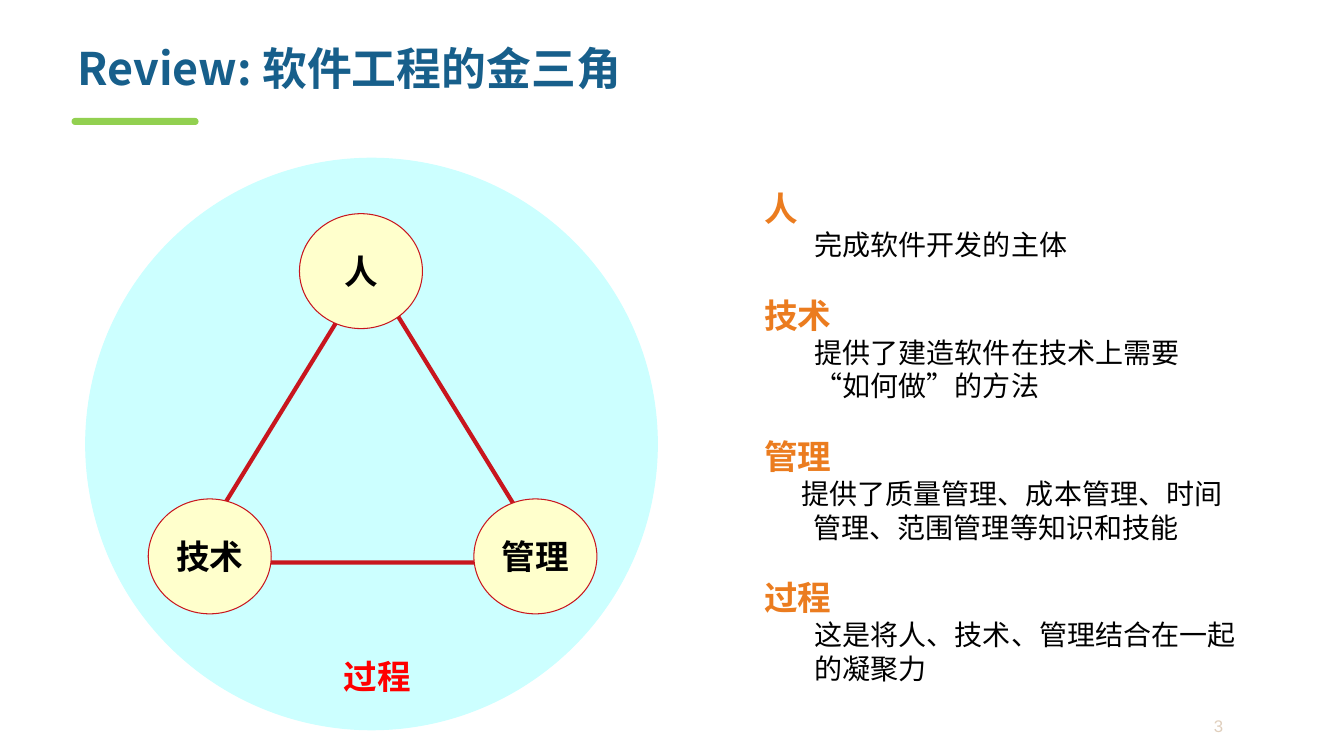
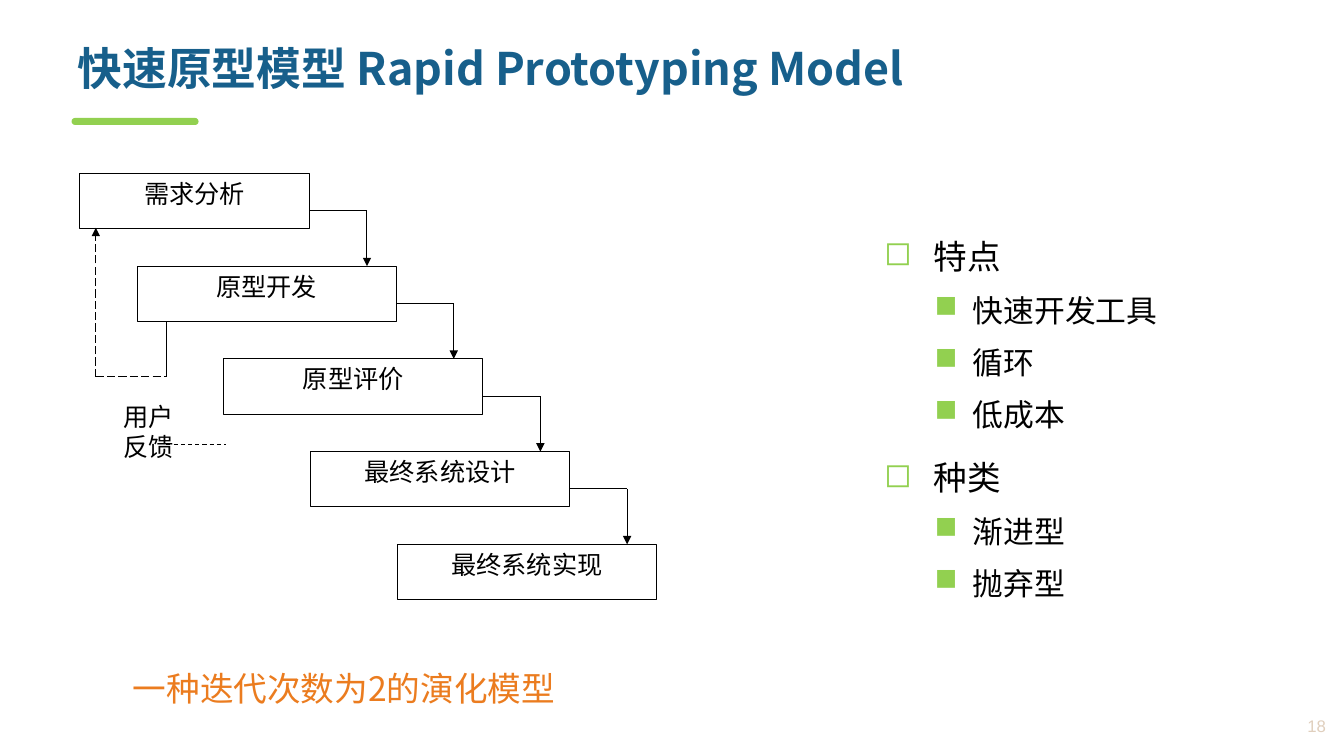
from pptx import Presentation
from pptx.dml.color import RGBColor
from pptx.enum.dml import MSO_LINE
from pptx.enum.shapes import MSO_CONNECTOR, MSO_SHAPE
from pptx.enum.text import MSO_ANCHOR, PP_ALIGN
from pptx.oxml.ns import qn
from pptx.util import Inches, Pt
from lxml import etree

BLUE = RGBColor(0x17, 0x5F, 0x8B)
GREEN = RGBColor(0x92, 0xD0, 0x50)
ORANGE = RGBColor(0xEB, 0x7C, 0x1F)
RED = RGBColor(0xC8, 0x16, 0x1E)
BRIGHT = RGBColor(0xFF, 0x00, 0x00)
CYAN = RGBColor(0xCC, 0xFF, 0xFF)
CREAM = RGBColor(0xFF, 0xFF, 0xCC)
SAND = RGBColor(0xE0, 0xCF, 0xBD)
BLACK = RGBColor(0, 0, 0)
WHITE = RGBColor(0xFF, 0xFF, 0xFF)

SANS, ARIAL, TIMES = "Noto Sans CJK SC", "Arial", "Times New Roman"
OVAL, RECT = MSO_SHAPE.OVAL, MSO_SHAPE.RECTANGLE
TRIANGLE, BAR = MSO_SHAPE.ISOSCELES_TRIANGLE, MSO_SHAPE.ROUND_2_SAME_RECTANGLE
STRAIGHT = MSO_CONNECTOR.STRAIGHT
CENTER, RIGHT = PP_ALIGN.CENTER, PP_ALIGN.RIGHT
TOP, MIDDLE = MSO_ANCHOR.TOP, MSO_ANCHOR.MIDDLE
DASH, LONG = MSO_LINE.DASH, MSO_LINE.LONG_DASH

THIN = 0.75
WIDE = (0.12, 0.06)
NORMAL = (0.1, 0.05)

HEAD = {"name": SANS, "size": Pt(24), "bold": True, "color": ORANGE}
BODY = {"name": SANS, "size": Pt(20), "color": BLACK}
NODE = {**HEAD, "color": BLACK}
STEP = {"name": TIMES, "size": Pt(18), "color": BLACK}
ITEM = {"name": ARIAL, "size": Pt(24), "color": BLACK}
TITLE = {"name": SANS, "size": Pt(32), "bold": True, "color": BLUE}
NUMBER = {"name": ARIAL, "size": Pt(12), "color": SAND}


def add(parent, tag, **attrs):
    return etree.SubElement(parent, qn(tag), attrs)


class Deck:
    """Holds the presentation, its style and the current slide."""

    def __init__(self):
        self.prs = Presentation()
        self.prs.slide_width = Inches(13.33)
        self.prs.slide_height = Inches(7.5)
        self.slide = None

    def page(self, title, number, left):
        self.slide = self.prs.slides.add_slide(self.prs.slide_layouts[6])
        bar = self.shape(BAR, (0.71, 1.17, 1.26, 0.07), GREEN)
        bar.adjustments[0] = bar.adjustments[1] = 0.5
        self.text((0.67, 0.41, 12.19, 0.75), [(title, TITLE, {"line_spacing": 0.9})])
        self.text((left, 7.01, 1.13, 0.38),
                  [(number, NUMBER, {"alignment": RIGHT})], anchor=MIDDLE)

    def shape(self, kind, box, fill=None, line=None, width=THIN):
        shape = self.slide.shapes.add_shape(kind, *map(Inches, box))
        shape.shadow.inherit = False
        if fill is None:
            shape.fill.background()
        else:
            shape.fill.solid()
            shape.fill.fore_color.rgb = fill
        if line is None:
            shape.line.fill.background()
        else:
            shape.line.color.rgb = line
            shape.line.width = Pt(width)
        return shape

    def text(self, box, paras, **frame):
        shape = self.slide.shapes.add_textbox(*map(Inches, box))
        self.label(shape, paras, **frame)

    def label(self, shape, paras, anchor=TOP, wrap=True, inset=NORMAL):
        """Fill a shape with (text, font values, paragraph values) items."""
        frame = shape.text_frame
        side, edge = map(Inches, inset)
        values = {"word_wrap": wrap, "vertical_anchor": anchor,
                  "margin_left": side, "margin_right": side,
                  "margin_top": edge, "margin_bottom": edge}
        for key, value in values.items():
            setattr(frame, key, value)
        for i, (text, font, form) in enumerate(paras):
            para = frame.add_paragraph() if i else frame.paragraphs[0]
            para.text = text
            self.form(para, **form)
            for run in para.runs:
                self.font(run, font)

    def form(self, para, left=0, first=0, bullet=None, **values):
        props = para._p.get_or_add_pPr()
        props.set("marL", str(Inches(left)))
        props.set("indent", str(Inches(first)))
        if bullet:
            add(add(props, "a:buClr"), "a:srgbClr", val=str(GREEN))
            add(props, "a:buChar", char=bullet)
        for key, value in values.items():
            setattr(para, key, value)

    def font(self, run, values):
        for key, value in values.items():
            if key == "color":
                run.font.color.rgb = value
            else:
                setattr(run.font, key, value)
        add(run._r.get_or_add_rPr(), "a:ea", typeface=SANS)

    def line(self, start, end, dash=None, arrow=False):
        line = self.slide.shapes.add_connector(
            STRAIGHT, *map(Inches, (*start, *end)))
        line.line.color.rgb = BLACK
        line.line.width = Pt(THIN)
        if dash:
            line.line.dash_style = dash
        props = line._element.spPr
        if arrow:
            add(props.find(qn("a:ln")), "a:tailEnd", type="triangle")
        add(props, "a:effectLst")


def golden(deck):
    deck.page("Review: 软件工程的金三角", "3", 11.1)
    topics = [
        ("人", "完成软件开发的主体", 0.5, 0),
        ("技术", "提供了建造软件在技术上需要\v“如何做”的方法", 0.5, 0),
        ("管理", "提供了质量管理、成本管理、时间管理、范围管理等知识和技能", 0.49, -0.12),
        ("过程", "这是将人、技术、管理结合在一起的凝聚力", 0.5, 0),
    ]
    paras = []
    for head, body, left, first in topics:
        paras.append((head, HEAD, {"space_before": Pt(24 if paras else 0)}))
        paras.append((body, BODY, {"left": left, "first": first}))
    deck.text((7.46, 1.8, 4.98, 5.1), paras, inset=WIDE)

    deck.shape(OVAL, (0.85, 1.57, 5.67, 5.67), CYAN, CYAN)
    deck.shape(TRIANGLE, (1.87, 2.67, 3.58, 2.91), line=RED, width=3)
    for name, left, top in (("技术", 1.47, 4.95), ("人", 2.97, 2.12), ("管理", 4.7, 4.95)):
        node = deck.shape(OVAL, (left, top, 1.22, 1.14), CREAM, RED)
        deck.label(node, [(name, NODE, {"alignment": CENTER})],
                   anchor=MIDDLE, wrap=False, inset=WIDE)
    deck.text((3.29, 6.45, 0.91, 0.52), [("过程", {**HEAD, "color": BRIGHT}, {})],
              wrap=False, inset=WIDE)


def rapid(deck):
    deck.page("快速原型模型 Rapid Prototyping Model", "18", 12.12)
    steps = ["需求分析", "原型开发", "原型评价", "最终系统设计", "最终系统实现"]
    for i, name in enumerate(steps):
        width = 2.57 if i else 2.28
        right, top = 3.07 + 0.86 * i, 1.72 + 0.92 * i
        box = deck.shape(RECT, (right - width, top, width, 0.55), WHITE, BLACK)
        deck.label(box, [(name, STEP, {"alignment": CENTER})])
        if i < len(steps) - 1:
            turn, mid = right + 0.57, top + 0.37
            deck.line((right, mid), (turn, mid))
            deck.line((turn, mid), (turn, top + 0.92), arrow=True)

    deck.line((1.65, 3.74), (1.65, 3.19))
    deck.line((0.95, 3.74), (1.65, 3.74), LONG)
    deck.line((0.95, 3.74), (0.95, 2.26), LONG, arrow=True)
    deck.text((0.76, 3.93, 1.43, 0.92),
              [(word, STEP, {"alignment": CENTER}) for word in ("用户", "反馈")])
    deck.line((1.65, 4.41), (2.24, 4.41), DASH)
    deck.text((1.22, 6.58, 4.43, 0.5),
              [("一种迭代次数为2的演化模型", {**HEAD, "bold": False}, {})])

    groups = [("特点", 1.3, ["快速开发工具", "循环", "低成本"]),
              ("种类", 1.5, ["渐进型", "抛弃型"])]
    paras = []
    for head, space, items in groups:
        paras.append((head, ITEM, {"left": 0.49, "first": -0.49, "bullet": "◻",
                                   "line_spacing": space, "space_after": Pt(3)}))
        for item in items:
            paras.append((item, {**ITEM, "size": Pt(22)},
                          {"left": 0.88, "first": -0.38, "bullet": "■",
                           "line_spacing": 1.3, "space_after": Pt(3)}))
    deck.text((8.67, 2.17, 4.45, 4.25), paras)


def main():
    deck = Deck()
    golden(deck)
    rapid(deck)
    deck.prs.save("out.pptx")


if __name__ == "__main__":
    main()
